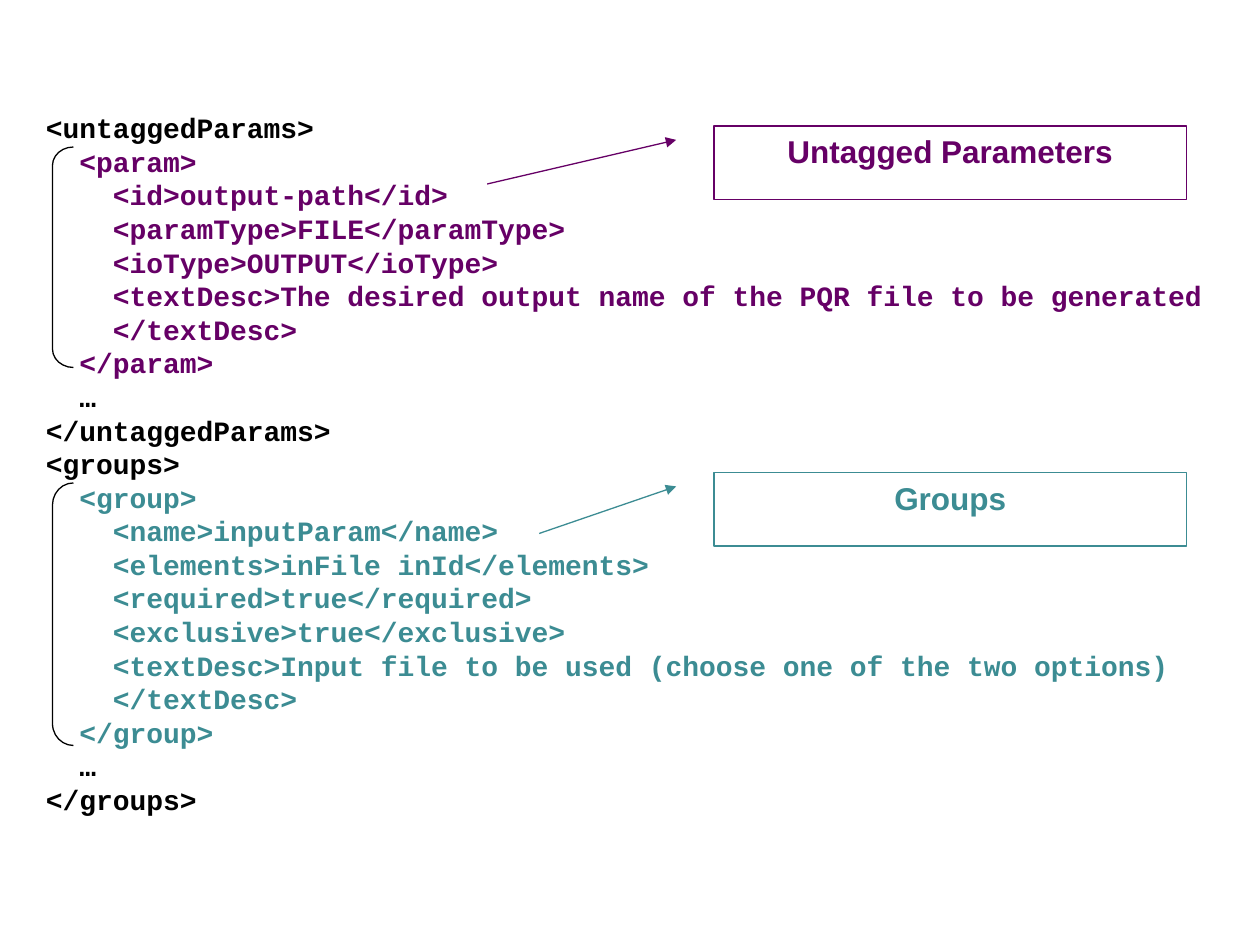
from dataclasses import dataclass

from lxml.etree import SubElement
from pptx import Presentation
from pptx.dml.color import RGBColor
from pptx.enum.shapes import MSO_SHAPE
from pptx.enum.text import MSO_ANCHOR, PP_ALIGN
from pptx.oxml.ns import qn
from pptx.slide import Slide
from pptx.text.text import Font
from pptx.util import Emu, Inches, Pt

COLORS = {
    "black": "000000",
    "white": "FFFFFF",
    "purple": "660066",
    "teal": "3C8C93",
}
UNIT = Inches(1) // 12  # the slide is a grid of 120 columns by 90 rows
LINE_WIDTH = Pt(0.75)


@dataclass(frozen=True)
class CodeBlock:
    color: str
    text: str


@dataclass(frozen=True)
class Callout:
    label: str
    color: str
    row: int
    tail_x: float  # shares of the callout's width and height
    tail_y: float


@dataclass(frozen=True)
class Bracket:
    row: int
    rows: int


CODE_BLOCKS = [
    CodeBlock("black", "  <untaggedParams>"),
    CodeBlock("purple", """\
    <param>
      <id>output-path</id>
      <paramType>FILE</paramType>
      <ioType>OUTPUT</ioType>
      <textDesc>The desired output name of the PQR file to be generated
      </textDesc>
    </param>"""),
    CodeBlock("black", """\
    …
  </untaggedParams>
  <groups>"""),
    CodeBlock("teal", """\
    <group>
      <name>inputParam</name>
      <elements>inFile inId</elements>
      <required>true</required>
      <exclusive>true</exclusive>
      <textDesc>Input file to be used (choose one of the two options)
      </textDesc>
    </group>"""),
    CodeBlock("black", """\
    …
  </groups>"""),
]
CALLOUTS = [
    Callout("Untagged Parameters", "purple", 12, -0.48, 0.79),
    Callout("Groups", "teal", 45, -0.37, 0.83),
]
BRACKETS = [Bracket(46, 25), Bracket(14, 21)]


def grid(count: float) -> Emu:
    return Emu(round(count * UNIT))


def rgb(name: str) -> RGBColor:
    return RGBColor.from_string(COLORS[name])


def style_font(font: Font, name: str, size: int, color: str) -> None:
    font.name = name
    font.size = Pt(size)
    font.bold = True
    font.color.rgb = rgb(color)


def draw_code(slide: Slide, blocks: list[CodeBlock]) -> None:
    box = slide.shapes.add_textbox(0, 0, grid(120), grid(81.25))
    text_frame = box.text_frame
    text_frame.word_wrap = True
    text_frame.margin_top = Inches(0.88)
    text_frame.text = "\n".join(block.text for block in blocks)
    line_colors = [block.color for block in blocks for _ in block.text.splitlines()]
    for paragraph, color in zip(text_frame.paragraphs, line_colors):
        paragraph.line_spacing = Pt(19.2)
        for run in paragraph.runs:
            style_font(run.font, "Courier New", 16, color)


def draw_callout(slide: Slide, callout: Callout) -> None:
    shape = slide.shapes.add_shape(
        MSO_SHAPE.LINE_CALLOUT_1, grid(68), grid(callout.row), grid(45), grid(7))
    shape.shadow.inherit = False
    positions = (0.19, -0.08, callout.tail_y, callout.tail_x)
    for index, position in enumerate(positions):
        shape.adjustments[index] = position
    shape.fill.solid()
    shape.fill.fore_color.rgb = rgb("white")
    shape.line.color.rgb = rgb(callout.color)
    shape.line.width = LINE_WIDTH
    # Arrowhead where the leader starts, beside the box
    SubElement(shape.line._get_or_add_ln(), qn("a:headEnd"), type="triangle")

    text_frame = shape.text_frame
    text_frame.word_wrap = True
    text_frame.vertical_anchor = MSO_ANCHOR.TOP
    text_frame.text = callout.label
    paragraph = text_frame.paragraphs[0]
    paragraph.alignment = PP_ALIGN.CENTER
    style_font(paragraph.runs[0].font, "Arial", 18, callout.color)


def draw_bracket(slide: Slide, bracket: Bracket) -> None:
    columns = 2
    shape = slide.shapes.add_shape(
        MSO_SHAPE.LEFT_BRACKET,
        grid(5), grid(bracket.row), grid(columns), grid(bracket.rows))
    shape.shadow.inherit = False
    # Each corner takes a twelfth of the height
    shape.adjustments[0] = bracket.rows / 12 / columns
    shape.fill.background()
    shape.line.color.rgb = rgb("black")
    shape.line.width = LINE_WIDTH


def main() -> None:
    presentation = Presentation()
    presentation.slide_width = grid(120)
    presentation.slide_height = grid(90)
    slide = presentation.slides.add_slide(presentation.slide_layouts[6])

    # Code listing
    draw_code(slide, CODE_BLOCKS)

    # Labels and the brackets around the code they name
    for callout in CALLOUTS:
        draw_callout(slide, callout)
    for bracket in BRACKETS:
        draw_bracket(slide, bracket)

    presentation.save("out.pptx")


if __name__ == "__main__":
    main()
